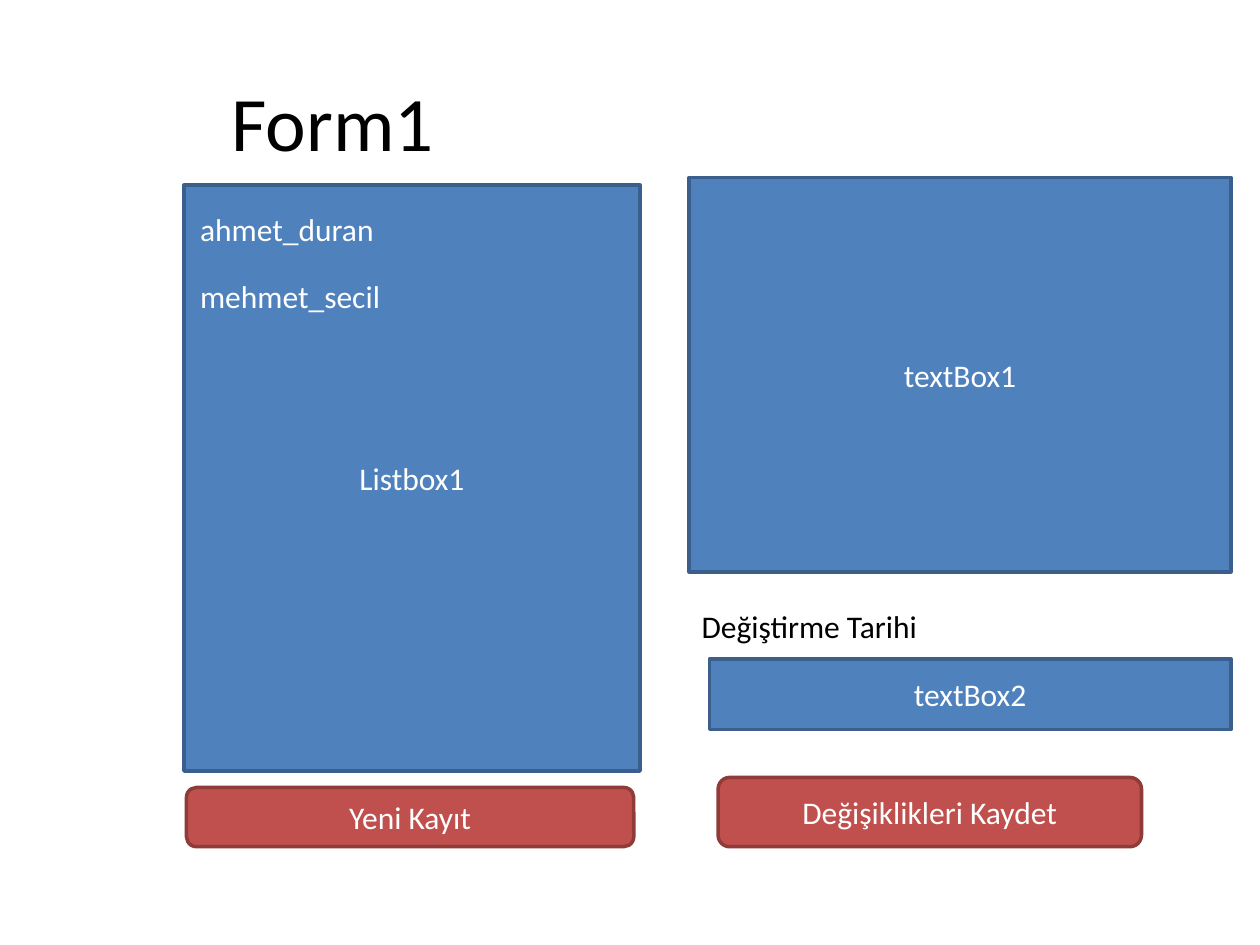
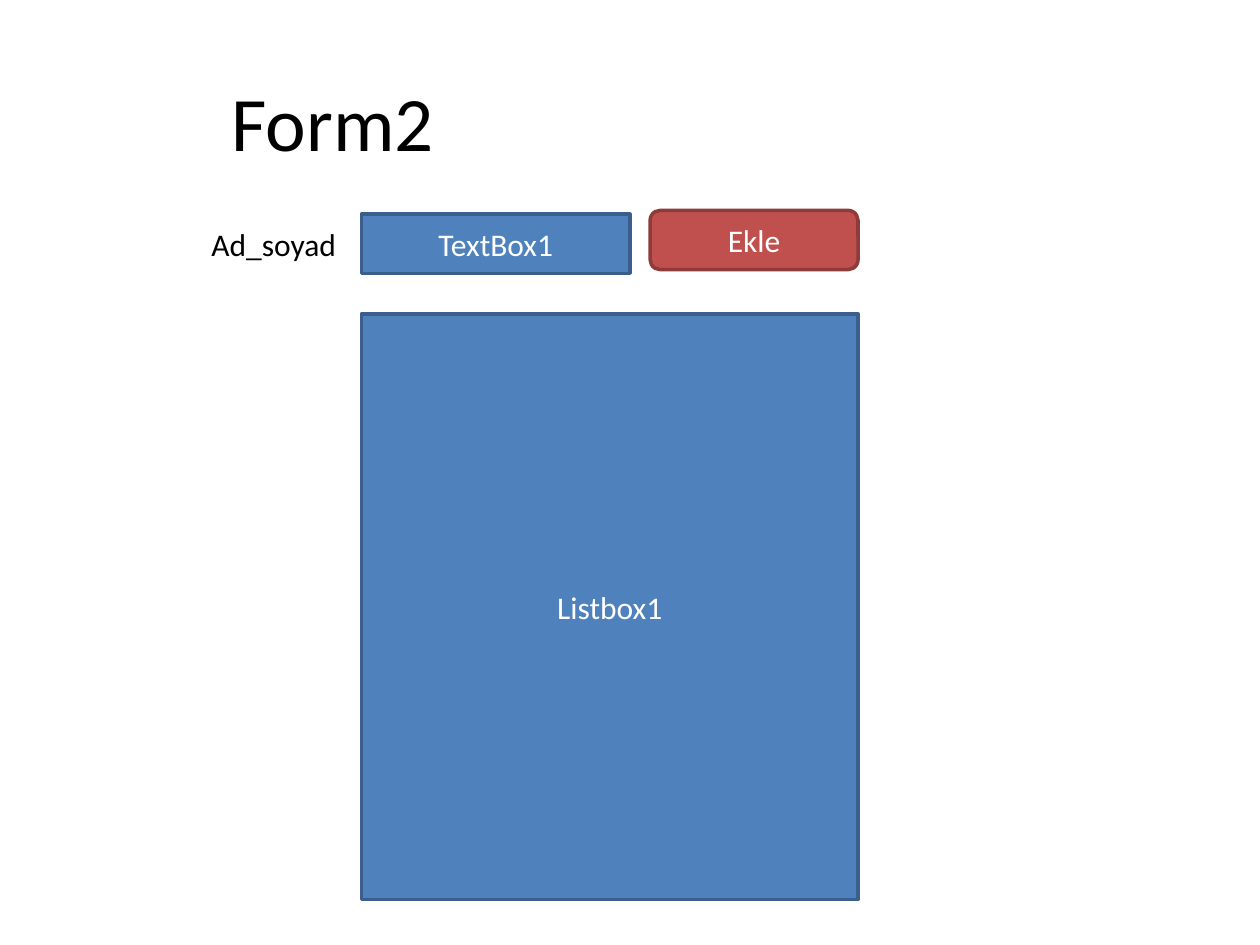
from pptx import Presentation
from pptx.dml.color import RGBColor
from pptx.enum.shapes import MSO_SHAPE
from pptx.enum.text import MSO_ANCHOR, PP_ALIGN
from pptx.util import Inches, Pt

BLACK, WHITE = "000000", "FFFFFF"
BLUE, NAVY = "4F81BD", "3A5F8C"
RED, MAROON = "C0504D", "8E3B39"


def color(code):
    return RGBColor.from_string(code)


class Form:
    """Holds the shared style and draws on the current slide."""
    font = "Calibri"
    size = 18

    def __init__(self, deck):
        self.deck = deck
        self.slide = None

    def start(self, title):
        """Add a blank slide with its title."""
        self.slide = self.deck.slides.add_slide(self.deck.slide_layouts[6])
        frame = self.frame(0.28, 0.29, 4.72, 1.34)
        frame.vertical_anchor = MSO_ANCHOR.MIDDLE
        self.add_text(frame, title, BLACK, 44, PP_ALIGN.CENTER)

    def frame(self, *place):
        box = self.slide.shapes.add_textbox(*map(Inches, place))
        box.text_frame.word_wrap = True
        return box.text_frame

    def add_text(self, frame, text, ink, size=size, align=PP_ALIGN.LEFT):
        para = frame.paragraphs[0]
        para.alignment = align
        run = para.add_run()
        run.text = text
        run.font.name = self.font
        run.font.size = Pt(size)
        run.font.color.rgb = color(ink)

    def label(self, text, x, y, width, ink=BLACK, wrap=True):
        frame = self.frame(x, y, width, 0.4)
        frame.word_wrap = wrap
        self.add_text(frame, text, ink)

    def block(self, kind, fill, edge, text, place):
        """Draw a filled, outlined shape with centred text."""
        shape = self.slide.shapes.add_shape(kind, *map(Inches, place))
        shape.shadow.inherit = False
        shape.fill.solid()
        shape.fill.fore_color.rgb = color(fill)
        shape.line.color.rgb = color(edge)
        shape.line.width = Pt(2)
        frame = shape.text_frame
        frame.vertical_anchor = MSO_ANCHOR.MIDDLE
        self.add_text(frame, text, WHITE, align=PP_ALIGN.CENTER)

    def field(self, text, *place):
        self.block(MSO_SHAPE.RECTANGLE, BLUE, NAVY, text, place)

    def button(self, text, *place):
        self.block(MSO_SHAPE.ROUNDED_RECTANGLE, RED, MAROON, text, place)


def editor(form):
    form.start("Form1")
    form.field("Listbox1", 1.46, 1.47, 3.62, 4.65)
    for row, user in enumerate(("ahmet_duran", "mehmet_secil")):
        form.label(user, 1.49, 1.62 + row * 0.53, 1.93, WHITE)
    form.field("textBox1", 5.47, 1.41, 4.3, 3.13)
    form.button("Değişiklikleri Kaydet", 5.7, 6.17, 3.36, 0.55)
    form.button("Yeni Kayıt", 1.48, 6.25, 3.55, 0.47)
    form.field("textBox2", 5.63, 5.23, 4.14, 0.56)
    form.label("Değiştirme Tarihi", 5.47, 4.77, 1.93, wrap=False)


def entry(form):
    form.start("Form2")
    form.field("TextBox1", 2.87, 1.7, 2.13, 0.47)
    form.label("Ad_soyad", 1.58, 1.74, 1.26)
    form.field("Listbox1", 2.87, 2.49, 3.94, 4.65)
    form.button("Ekle", 5.16, 1.67, 1.65, 0.47)


def main():
    deck = Presentation()
    deck.slide_width, deck.slide_height = Inches(10), Inches(7.5)
    form = Form(deck)
    editor(form)
    entry(form)
    deck.save("out.pptx")


if __name__ == "__main__":
    main()
